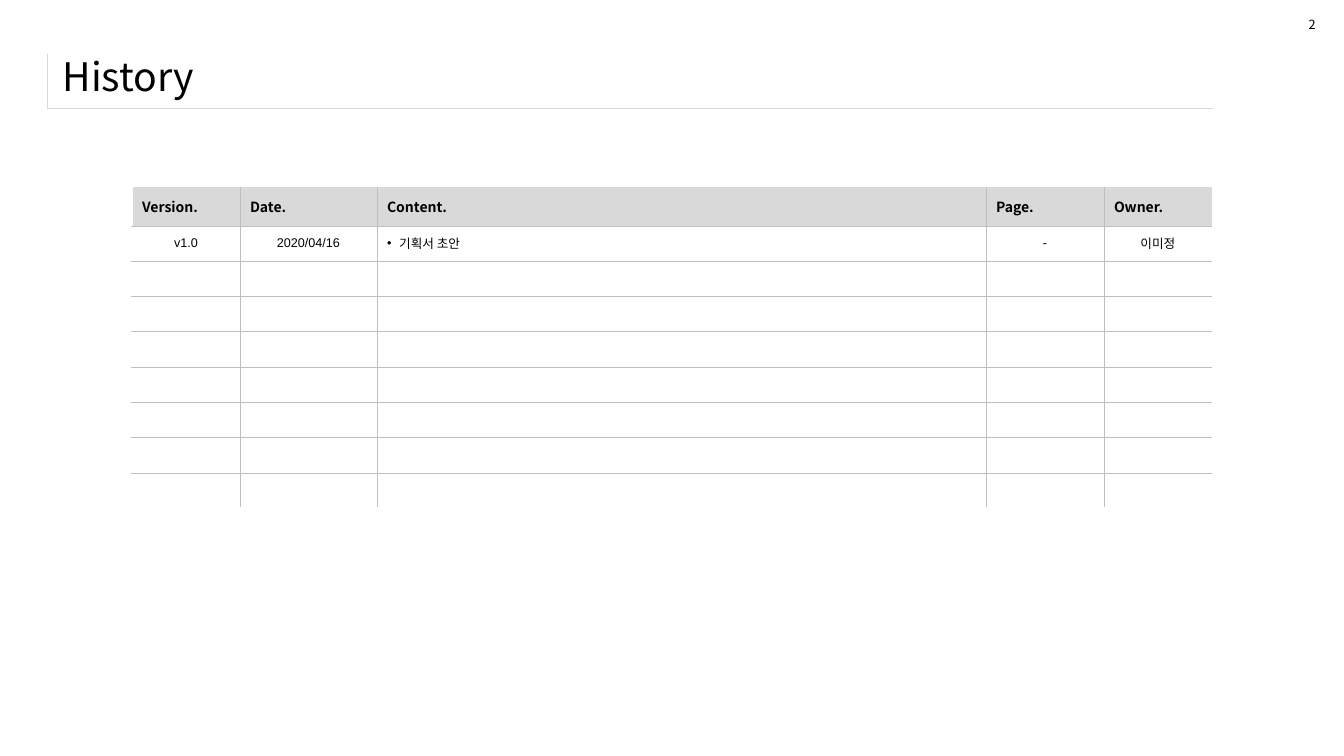
import pptx
import pptx.util
import pptx.dml.color
import pptx.enum.text
import pptx.oxml.ns
import lxml.etree

Inches, Pt = pptx.util.Inches, pptx.util.Pt
ALIGN = pptx.enum.text.PP_ALIGN
MIDDLE = pptx.enum.text.MSO_ANCHOR.MIDDLE
NONE = pptx.enum.text.MSO_AUTO_SIZE.NONE
qn = pptx.oxml.ns.qn

# Content
TITLE = "History"
PAGE = "2"
HEADS = ["Version.", "Date.", "Content.", "Page.", "Owner."]
ENTRY = ["v1.0", "2020/04/16", "기획서 초안", "-", "이미정"]
BLANKS = 7
BULLET = 2  # column with a bullet

# Look
SANS, LATIN = "Noto Sans CJK KR", "Arial"
FONTS = [LATIN, LATIN, SANS, LATIN, SANS]
COLORS = {"text": "000000", "head": "D9D9D9", "frame": "D9D9D9",
          "grid": "BFBFBF", "edge": "FFFFFF"}
WIDTHS = [1.07, 1.36, 6.04, 1.17, 1.07]
HEIGHTS = [0.38] + [0.35] * (1 + BLANKS)
NO_STYLE = "{2D5ABB26-0587-4C30-8999-92F81FD0307C}"


def rgb(name):
    return pptx.dml.color.RGBColor.from_string(COLORS[name])


def add(parent, tag, **attrs):
    return lxml.etree.SubElement(parent, qn(tag), **attrs)


def write(frame, text, size=9, font=SANS, bold=False, align=ALIGN.LEFT,
          bullet=False):
    para = frame.paragraphs[0]
    para.alignment = align
    run = para.add_run()
    run.text = text
    run.font.size, run.font.bold, run.font.name = Pt(size), bold, font
    run.font.color.rgb = rgb("text")
    add(run.font._element, "a:ea", typeface=font)
    if bullet:
        props = para._p.get_or_add_pPr()
        props.set("marL", str(Inches(0.12)))
        props.set("indent", str(Inches(-0.12)))
        add(props, "a:buFont", typeface="Arial")
        add(props, "a:buChar", char="•")


def border(cell, sides):
    """Draw lines: sides maps L, R, T, B to (colour, points)."""
    props = cell._tc.get_or_add_tcPr()
    at = 0
    for side in "LRTB":
        if side not in sides:
            continue
        color, width = sides[side]
        line = add(props, "a:ln" + side, w=str(Pt(width)))
        fill = add(line, "a:solidFill")
        add(fill, "a:srgbClr", val=COLORS[color])
        props.insert(at, line)
        at += 1


def make_table(left, top, widths, heights):
    shape = slide.shapes.add_table(
        len(heights), len(widths), Inches(left), Inches(top),
        Inches(sum(widths)), Inches(sum(heights)))
    table = shape.table
    table.first_row = table.horz_banding = False
    table._tbl.tblPr.find(qn("a:tableStyleId")).text = NO_STYLE
    for col, width in zip(table.columns, widths):
        col.width = Inches(width)
    for row, height in zip(table.rows, heights):
        row.height = Inches(height)
    return shape


deck = pptx.Presentation()
deck.slide_width, deck.slide_height = Inches(13.33), Inches(7.5)
slide = deck.slides.add_slide(deck.slide_layouts[5])

# Title frame, behind the title
frame = make_table(0.47, 0.54, [11.56], [0.63 - 0.1])
corner = frame.table.cell(0, 0)
corner.fill.background()
border(corner, {"L": ("frame", 0.25), "B": ("frame", 0.25)})
slide.shapes._spTree.insert(2, frame._element)

# Title
title = slide.shapes.title
title.left, title.top = Inches(0.52), Inches(0.44)
title.width, title.height = Inches(12.49), Inches(0.63)
title.text_frame.auto_size = NONE
title.text_frame.vertical_anchor = MIDDLE
write(title.text_frame, TITLE, size=28)

# History table
rows = [HEADS, ENTRY] + [[""] * len(HEADS)] * BLANKS
table = make_table(1.31, 1.86, WIDTHS, HEIGHTS).table
grid, edge = ("grid", 0.25), ("edge", 1)
for r, row in enumerate(rows):
    for c, text in enumerate(row):
        cell = table.cell(r, c)
        cell.vertical_anchor = MIDDLE
        if r == 0:
            cell.fill.solid()
            cell.fill.fore_color.rgb = rgb("head")
            write(cell.text_frame, text, size=10, bold=True)
        else:
            cell.fill.background()
            if text:
                dot = c == BULLET
                write(cell.text_frame, text, font=FONTS[c], bullet=dot,
                      align=ALIGN.LEFT if dot else ALIGN.CENTER)
            else:
                add(cell.text_frame.paragraphs[0]._p, "a:endParaRPr", sz="900")
        sides = {"L": grid if c else edge,
                 "B": grid if r < len(rows) - 1 else edge}
        if c < len(row) - 1:
            sides["R"] = grid
        if r:
            sides["T"] = grid
        border(cell, sides)

# Page number
number = slide.shapes.add_textbox(
    Inches(12.88), Inches(0.12), Inches(0.27), Inches(0.25))
number.text_frame.word_wrap = False
write(number.text_frame, PAGE)

deck.save("out.pptx")
